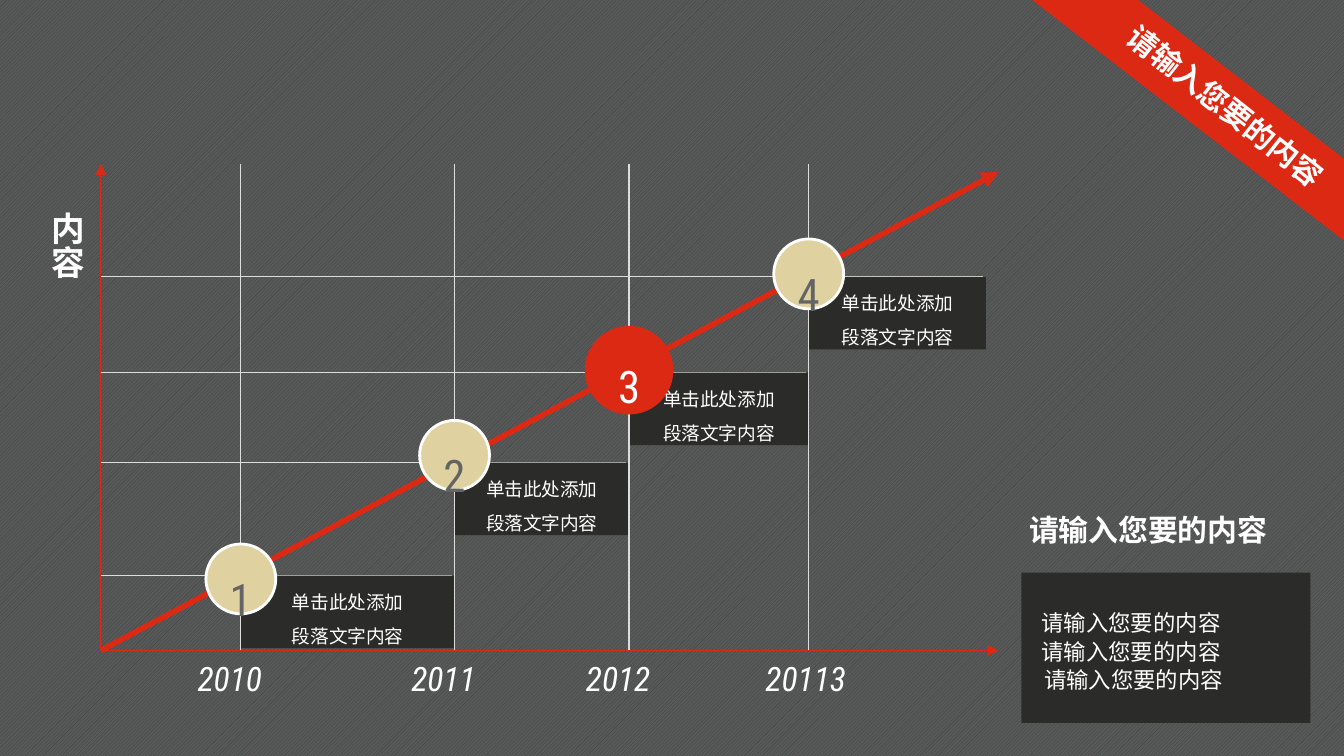
from pptx import Presentation
from pptx.dml.color import RGBColor
from pptx.enum.dml import MSO_PATTERN
from pptx.enum.shapes import MSO_CONNECTOR, MSO_SHAPE
from pptx.enum.text import MSO_ANCHOR, MSO_AUTO_SIZE, PP_ALIGN
from pptx.oxml import parse_xml
from pptx.oxml.ns import nsdecls, qn
from pptx.util import Inches, Pt

WIDTH = 10
HEIGHT = WIDTH * 9 / 16
COLORS = {
    "red": "DB2914",
    "cream": "DFD2A0",
    "dark": "2B2B29",
    "grid": "DDDDDD",
    "white": "FFFFFF",
    "number": "646464",
    "background": "595959",
    "hatch": "384340",
}
CHINESE = "Noto Sans CJK SC"
LATIN = "Roboto Condensed"
PROMPT = "请输入您要的内容"
CAPTION = ["单击此处添加", "段落文字内容"]
COLUMNS = [15.6, 39.4, 58.85, 78.85, 98.6]
ROWS = [84.6, 61.4, 42.9, 23.2]
CENTERS = [85.3, 59.9, 42.4, 22.6]
YEARS = ["2010", "2011", "2012", "20113"]


def color(name):
    return RGBColor.from_string(COLORS[name])


def add_text(slide, box, lines, size, font=CHINESE, fill="white", bold=False,
             italic=False, align=PP_ALIGN.LEFT, anchor=MSO_ANCHOR.TOP,
             spacing=None, wrap=True, rotation=0, vertical=False, shape=None):
    left, top, width, height = map(Inches, box)
    if shape is None:
        shape = slide.shapes.add_textbox(left, top, width, height)
    else:
        shape.left, shape.top, shape.width, shape.height = left, top, width, height
    shape.rotation = rotation
    frame = shape.text_frame
    frame.auto_size = MSO_AUTO_SIZE.NONE
    frame.word_wrap = wrap
    frame.vertical_anchor = anchor
    if vertical:
        shape.element.txBody.find(qn("a:bodyPr")).set("vert", "eaVert")
    for index, line in enumerate(lines):
        paragraph = frame.add_paragraph() if index else frame.paragraphs[0]
        paragraph.alignment = align
        if spacing:
            paragraph.line_spacing = spacing
        run = paragraph.add_run()
        run.text = line
        run.font.name = font
        run.font.size = Pt(size)
        run.font.bold = bold
        run.font.italic = italic
        run.font.color.rgb = color(fill)
    for latin in shape.element.iter(qn("a:latin")):
        latin.addnext(parse_xml(f'<a:ea {nsdecls("a")} typeface="{font}"/>'))
    return shape


def add_filled(slide, kind, box, fill, outline=None):
    shape = slide.shapes.add_shape(kind, *map(Inches, box))
    shape.shadow.inherit = False
    shape.fill.solid()
    shape.fill.fore_color.rgb = color(fill)
    if outline:
        shape.line.color.rgb = color(outline)
        shape.line.width = Pt(1.5)
    else:
        shape.line.fill.background()


def add_line(slide, start, end, stroke="grid", width=0.75, arrow=False):
    line = slide.shapes.add_connector(MSO_CONNECTOR.STRAIGHT, *map(Inches, start + end))
    line.line.color.rgb = color(stroke)
    line.line.width = Pt(width)
    if arrow:
        outline = line.element.spPr.find(qn("a:ln"))
        outline.append(parse_xml(f'<a:tailEnd {nsdecls("a")} type="triangle"/>'))
    line.element.spPr.append(parse_xml(f'<a:effectLst {nsdecls("a")}/>'))


def add_milestone(slide, x, y, number, highlighted):
    size = 0.66 if highlighted else 0.52
    text_size = 0.17 if highlighted else 0.14
    add_filled(slide, MSO_SHAPE.OVAL, (x - size / 2, y - size / 2, size, size),
               "red" if highlighted else "cream", None if highlighted else "white")
    add_text(slide, (x - text_size / 2, y - size / 5, text_size, size * 0.39),
             [number], 24, font=LATIN, fill="white" if highlighted else "number",
             align=PP_ALIGN.CENTER, wrap=False)


def add_timeline(slide, box):
    left, top, width, height = box
    bottom, right = top + height, left + width
    columns = [left + width * share / 100 for share in COLUMNS]
    rows = [top + height * share / 100 for share in ROWS]
    centers = [top + height * share / 100 for share in CENTERS]
    steps = [(x, y, following - x, 0.54)
             for x, following, y in zip(columns, columns[1:], rows)]

    for x, y, step_width, _ in steps:
        add_line(slide, (x + step_width - 0.02, y), (left, y))
    for step in steps:
        add_filled(slide, MSO_SHAPE.RECTANGLE, step, "dark")
    for end, stroke_width in (((right, bottom), 0.75), ((left, top), 0.75),
                              ((right, top + 0.06), 3)):
        add_line(slide, (left, bottom), end, "red", stroke_width, arrow=True)
    for x in columns[:-1]:
        add_line(slide, (x, bottom), (x, top))
    for number, (x, y) in enumerate(zip(columns, centers), 1):
        add_milestone(slide, x, y, str(number), number == 3)
    for (x, y, step_width, step_height), year in zip(steps, YEARS):
        add_text(slide, (x, y, step_width, step_height + 0.02), CAPTION, 10,
                 align=PP_ALIGN.CENTER, anchor=MSO_ANCHOR.MIDDLE, spacing=1.5)
        add_text(slide, (x - 0.42, bottom + 0.01, 0.82, 0.4), [year], 18,
                 font=LATIN, italic=True)
    add_text(slide, (left - 0.55, top + 0.26, 0.5, 0.82), ["内容"], 18,
             bold=True, vertical=True)


def add_ribbon(slide, box):
    left, top, width, height = box
    right, bottom = left + width, top + height
    points = [(left, top), (left + width * 0.34, top),
              (right, top + height * 0.66), (right, bottom)]
    corners = [(Inches(x), Inches(y)) for x, y in points]
    builder = slide.shapes.build_freeform(*corners[0])
    builder.add_line_segments(corners[1:], close=True)
    ribbon = builder.convert_to_shape()
    ribbon.shadow.inherit = False
    ribbon.fill.solid()
    ribbon.fill.fore_color.rgb = color("red")
    ribbon.line.fill.background()
    title = add_text(slide, (left + 0.39, top + 0.78, 2.55, 0.37), [PROMPT], 16,
                     bold=True, rotation=38.3, shape=slide.shapes.title)
    ribbon.element.addnext(title.element)


def add_panel(slide, box):
    left, top, width, height = box
    add_filled(slide, MSO_SHAPE.RECTANGLE, box, "dark")
    for indent, offset in ((0.05, 0.22), (0.05, 0.44), (0.07, 0.65)):
        add_text(slide, (left + indent, top + offset, width - 0.1, 0.3), [PROMPT], 12)
    add_text(slide, (left - 0.04, top - 0.5, width + 0.25, 0.37), [PROMPT], 16, bold=True)


def main():
    presentation = Presentation()
    presentation.slide_width = Inches(WIDTH)
    presentation.slide_height = Inches(HEIGHT)
    slide = presentation.slides.add_slide(presentation.slide_layouts[5])
    background = slide.background.fill
    background.patterned()
    background.pattern = MSO_PATTERN.DARK_UPWARD_DIAGONAL
    background.fore_color.rgb = color("hatch")
    background.back_color.rgb = color("background")
    add_timeline(slide, (0.75, 1.22, 6.68, 3.62))
    add_ribbon(slide, (7.68, 0, WIDTH - 7.68, 1.79))
    add_panel(slide, (7.6, 4.26, 2.15, 1.12))
    presentation.save("out.pptx")


if __name__ == "__main__":
    main()
